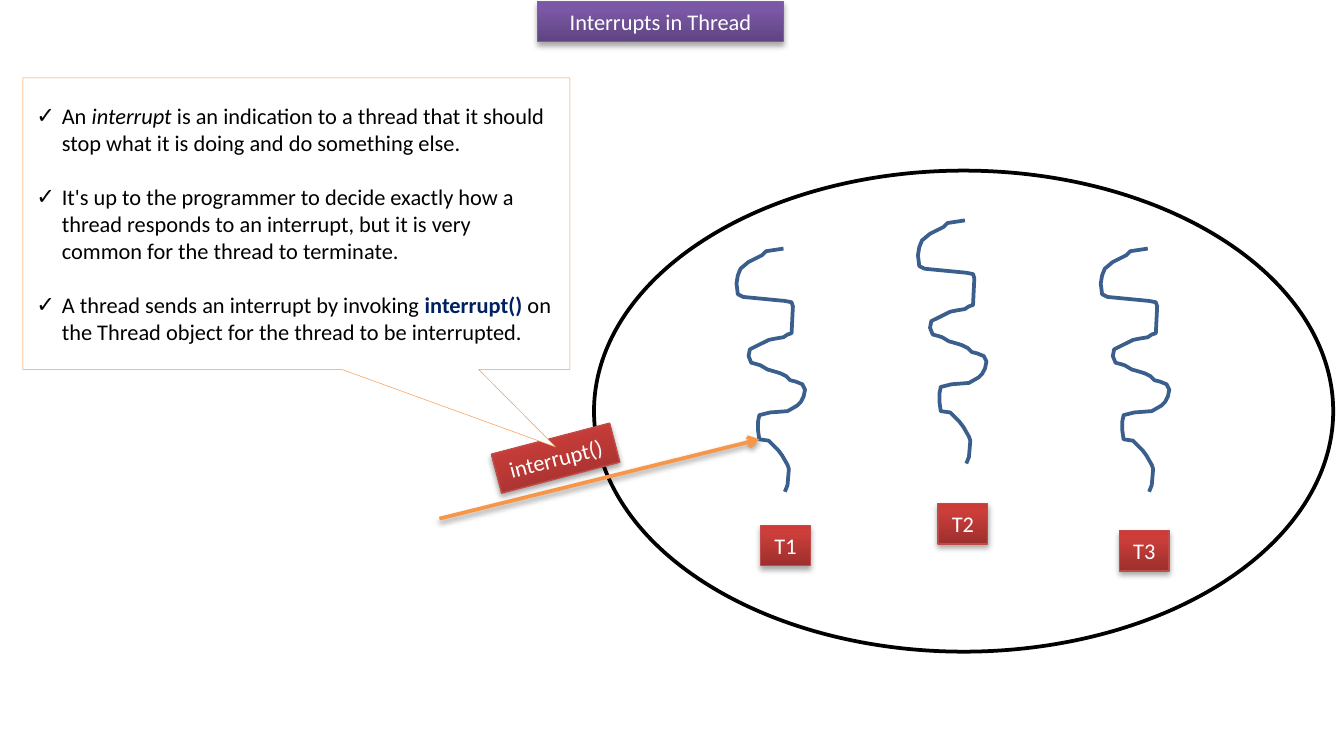
from pptx import Presentation
from pptx.dml.color import RGBColor
from pptx.enum.shapes import MSO_CONNECTOR as Connector, MSO_SHAPE as Shape
from pptx.enum.text import MSO_ANCHOR as Anchor, MSO_AUTO_SIZE as AutoSize, PP_ALIGN as Align
from pptx.oxml import parse_xml
from pptx.oxml.ns import nsdecls
from pptx.util import Inches, Pt

COLORS = {
    "white": "FFFFFF", "black": "000000", "navy": "002060",
    "thread": "3A5F8C", "orange": "F79646",
    "purple_line": "7D60A0", "red_line": "BF4C48",
}
GRADIENTS = {
    "purple": ("5F4480", "7B58A6", "7C57A8"),
    "red": ("9C2F2D", "CB3E3A", "CE3B37"),
}
SQUIGGLE = [
    (35, 0), (22, 2), (19, 5), (15, 7), (9, 10), (3, 15), (1, 20), (0, 26),
    (1, 34), (5, 36), (36, 39), (41, 40), (42, 43), (41, 63), (38, 64),
    (35, 66), (29, 67), (24, 68), (16, 72), (10, 75), (9, 80), (11, 85),
    (15, 86), (18, 87), (23, 90), (30, 92), (33, 93), (37, 95), (40, 98),
    (44, 99), (49, 101), (51, 105), (50, 110), (48, 114), (45, 117),
    (38, 121), (25, 122), (17, 124), (16, 129), (16, 135), (17, 142),
    (24, 143), (31, 150), (34, 154), (38, 161), (39, 164), (38, 176), (36, 181),
]
THREADS = [
    ("T1", (5.48, 1.85), (5.66, 3.91)),
    ("T2", (6.83, 1.64), (6.98, 3.75)),
    ("T3", (8.19, 1.85), (8.33, 3.95)),
]
POINTS = [
    [("An ", {}), ("interrupt", {"italic": True}),
     (" is an indication to a thread that it should stop what it is doing "
      "and do something else.", {})],
    [("It's up to the programmer to decide exactly how a thread responds to an "
      "interrupt, but it is very common for the thread to terminate.", {})],
    [("A thread sends an interrupt by invoking ", {}),
     ("interrupt() ", {"bold": True, "color": "navy"}),
     ("on the Thread object for the thread to be interrupted.", {})],
]
TEXT_FONT = {"name": "Calibri", "size": Pt(12), "bold": False, "italic": False}
LABEL_FRAME = {"auto_size": AutoSize.NONE, "vertical_anchor": Anchor.MIDDLE}


def rgb(name):
    """Return the named colour."""
    return RGBColor.from_string(COLORS[name])


def set_format(target, values):
    """Set each format value on the target."""
    for attribute, value in values.items():
        setattr(target, attribute, value)


def place(shape, left, top, width, height):
    """Move and size a shape, in inches."""
    box = {"left": left, "top": top, "width": width, "height": height}
    set_format(shape, {side: Inches(length) for side, length in box.items()})


def set_line(shape, color, width):
    """Give a shape a solid line."""
    shape.line.color.rgb = rgb(color)
    shape.line.width = Pt(width)


def add_shadow(shape, alpha, distance):
    """Give a shape a soft shadow straight below it."""
    shape.element.spPr.append(parse_xml(
        f'<a:effectLst {nsdecls("a")}><a:outerShdw blurRad="{Pt(3.1)}" '
        f'dist="{Pt(distance)}" dir="5400000" rotWithShape="0">'
        f'<a:srgbClr val="{COLORS["black"]}"><a:alpha val="{alpha * 1000}"/>'
        '</a:srgbClr></a:outerShdw></a:effectLst>'))


def add_run(paragraph, text, color="black", **font):
    """Add a run of text in the slide's font."""
    run = paragraph.add_run()
    run.text = text
    set_format(run.font, {**TEXT_FONT, **font})
    run.font.color.rgb = rgb(color)


def style_label(shape, text, hue, wrap):
    """Turn a shape into a glossy label with white text."""
    set_line(shape, f"{hue}_line", 0.75)
    stops = "".join(
        f'<a:gs pos="{position * 1000}"><a:srgbClr val="{color}"/></a:gs>'
        for position, color in zip((0, 80, 100), GRADIENTS[hue]))
    shape.line._get_or_add_ln().addprevious(parse_xml(
        f'<a:gradFill {nsdecls("a")} rotWithShape="1"><a:gsLst>{stops}</a:gsLst>'
        '<a:lin ang="16200000" scaled="0"/></a:gradFill>'))
    add_shadow(shape, 35, 1.8)
    frame = shape.text_frame
    set_format(frame, {**LABEL_FRAME, "word_wrap": wrap})
    frame.paragraphs[0].alignment = Align.CENTER
    add_run(frame.paragraphs[0], text, "white")


def add_label(slide, text, left, top, width, rotation=0):
    """Add a red label."""
    label = slide.shapes.add_shape(Shape.RECTANGLE, 0, 0, 0, 0)
    place(label, left, top, width, 0.3)
    label.rotation = rotation
    style_label(label, text, "red", False)


def add_outlined(slide, kind, box, color, width):
    """Add a white shape with a coloured outline."""
    shape = slide.shapes.add_shape(kind, 0, 0, 0, 0)
    place(shape, *box)
    shape.shadow.inherit = False
    shape.fill.solid()
    shape.fill.fore_color.rgb = rgb("white")
    set_line(shape, color, width)
    return shape


def add_thread(slide, left, top):
    """Draw one winding thread."""
    builder = slide.shapes.build_freeform(*SQUIGGLE[0], scale=Inches(0.01))
    builder.add_line_segments(SQUIGGLE[1:], close=False)
    thread = builder.convert_to_shape(Inches(left), Inches(top))
    thread.shadow.inherit = False
    thread.fill.background()
    set_line(thread, "thread", 2)


def add_arrow(slide, start, end):
    """Draw the arrow of the interrupt call."""
    arrow = slide.shapes.add_connector(
        Connector.STRAIGHT, *(Inches(length) for length in start + end))
    set_line(arrow, "orange", 2)
    arrow.line._get_or_add_ln().append(
        parse_xml(f'<a:tailEnd {nsdecls("a")} type="arrow"/>'))
    add_shadow(arrow, 38, 1.6)


def fill_list(body, points):
    """Write the check-marked points into the body."""
    frame = body.text_frame
    set_format(frame, {**LABEL_FRAME, "word_wrap": True})
    for index, runs in enumerate(points):
        paragraph = frame.add_paragraph() if index else frame.paragraphs[0]
        properties = paragraph._p.get_or_add_pPr()
        properties.set("marL", str(Inches(0.19)))
        properties.set("indent", str(Inches(-0.19)))
        properties.append(parse_xml(f'<a:buChar {nsdecls("a")} char="✓"/>'))
        set_format(paragraph, {"alignment": Align.LEFT,
                               "space_before": Pt(14.6 if index else 0)})
        for text, font in runs:
            add_run(paragraph, text, **font)


def main():
    """Build the slide and save it."""
    deck = Presentation()
    set_format(deck, {"slide_width": Inches(10), "slide_height": Inches(5.5)})
    slide = deck.slides.add_slide(deck.slide_layouts[1])
    title, body = slide.placeholders
    place(title, 4, 0.01, 1.83, 0.3)
    style_label(title, "Interrupts in Thread", "purple", True)

    add_outlined(slide, Shape.OVAL, (4.42, 1.27, 5.5, 3.58), "black", 2)
    for name, thread_at, label_at in THREADS:
        add_thread(slide, *thread_at)
        add_label(slide, name, *label_at, 0.37)
    add_arrow(slide, (3.27, 3.86), (5.65, 3.27))
    add_label(slide, "interrupt()", 3.68, 3.26, 0.91, 345.3)

    note_box = (0.17, 0.58, 4.07, 2.17)
    callout = add_outlined(
        slide, Shape.RECTANGULAR_CALLOUT, note_box, "orange", 0.25)
    callout.adjustments[0], callout.adjustments[1] = 0.474, 0.766
    place(body, *note_box)
    fill_list(body, POINTS)
    callout.element.addnext(body.element)
    deck.save("out.pptx")


if __name__ == "__main__":
    main()
